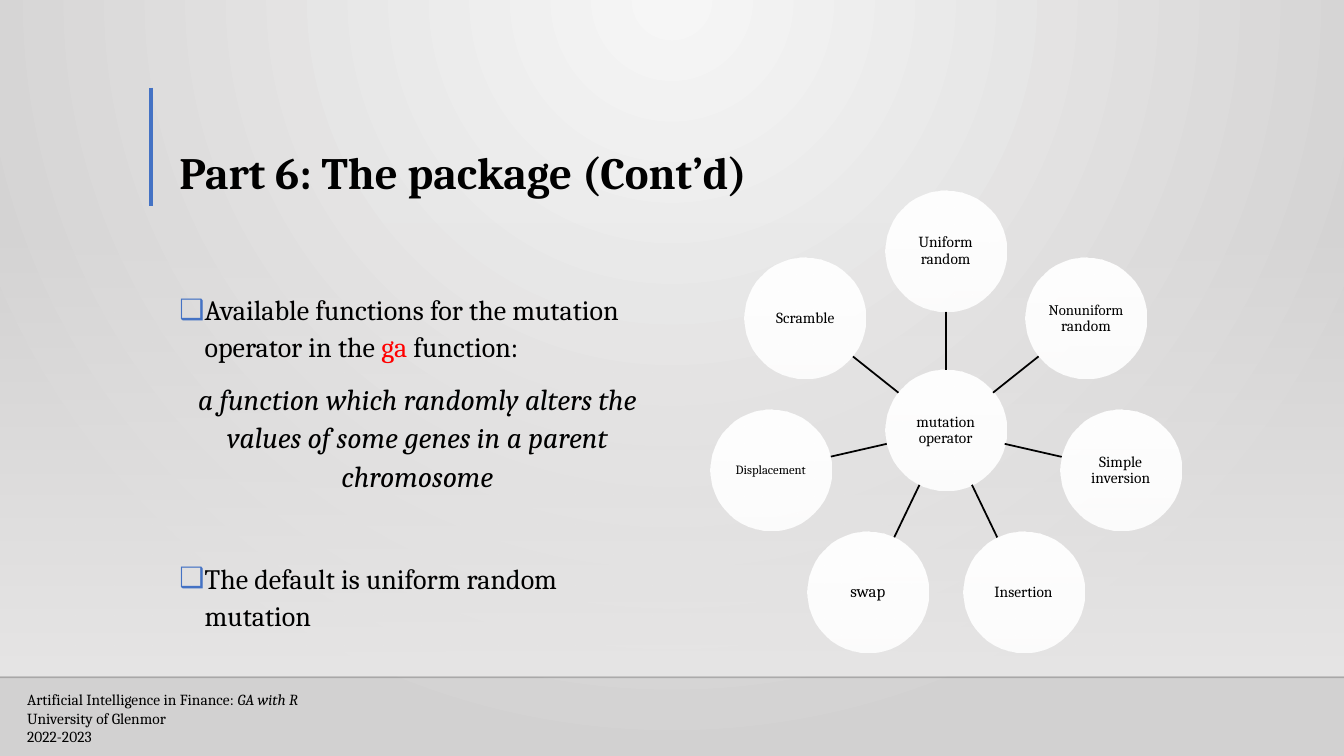
from math import cos, pi, sin

from pptx import Presentation
from pptx.dml.color import RGBColor
from pptx.enum.shapes import MSO_CONNECTOR as Connector, MSO_SHAPE as Preset
from pptx.enum.text import MSO_ANCHOR as Anchor, MSO_AUTO_SIZE as AutoSize, PP_ALIGN as Align
from pptx.oxml import parse_xml
from pptx.oxml.ns import nsdecls, qn
from pptx.util import Inches, Pt

BLACK = RGBColor(0x00, 0x00, 0x00)
RED = RGBColor(0xFF, 0x00, 0x00)
BLUE = RGBColor(0x44, 0x72, 0xC4)
WHITE = RGBColor(0xFF, 0xFF, 0xFF)
PALE = RGBColor(0xE7, 0xE6, 0xE6)
LIGHT = RGBColor(0xF6, 0xF6, 0xF6)
SHADE = RGBColor(0xD2, 0xD1, 0xD1)

DOWNWARD = '<a:lin {} ang="5400000" scaled="0"/>'
FROM_TOP = '<a:path {} path="circle"><a:fillToRect l="43000" t="0" r="43000" b="100000"/></a:path>'

HUB_X, HUB_Y, ORBIT, RADIUS = 9.38, 4.27, 1.78, 0.6
MUTATIONS = [
    [("Uniform random", 11)],
    [("Nonuniform", 10.5), (" random", 11)],
    [("Simple inversion", 11)],
    [("Insertion", 11)],
    [("swap", 12)],
    [("Displacement", 9)],
    [("Scramble", 11)],
]


def apply(target, values):
    """Set each named attribute of the target."""
    for name, value in values.items():
        setattr(target, name, value)


class SlideBuilder:
    """Holds the typeface and the current slide, and draws its elements."""

    def __init__(self, slide, typeface):
        """Keep the slide and typeface."""
        self.slide = slide
        self.typeface = typeface

    def gradient(self, owner, fill, stops, direction):
        """Fill with (colour, opacity percent) stops at even positions."""
        fill.gradient()
        grad = owner.find(".//" + qn("a:gradFill"))
        for child in list(grad):
            grad.remove(child)
        marks = "".join(
            f'<a:gs pos="{100000 * i // (len(stops) - 1)}"><a:srgbClr val="{colour}">'
            f'<a:alpha val="{opacity * 1000}"/></a:srgbClr></a:gs>'
            for i, (colour, opacity) in enumerate(stops))
        grad.append(parse_xml(f'<a:gsLst {nsdecls("a")}>{marks}</a:gsLst>'))
        grad.append(parse_xml(direction.format(nsdecls("a"))))

    def shape(self, preset, left, top, width, height, stops):
        """Add a borderless shape with a downward gradient."""
        shape = self.slide.shapes.add_shape(
            preset, Inches(left), Inches(top), Inches(width), Inches(height))
        shape.shadow.inherit = False
        shape.line.fill.background()
        self.gradient(shape.element, shape.fill, stops, DOWNWARD)
        return shape

    def line(self, start, end, colour, width, opacity=100):
        """Add a straight line between two points."""
        line = self.slide.shapes.add_connector(
            Connector.STRAIGHT, *(Inches(v) for v in (*start, *end)))
        line.line.color.rgb = colour
        line.line.width = Pt(width)
        if opacity < 100:
            line.element.find(".//" + qn("a:srgbClr")).append(
                parse_xml(f'<a:alpha {nsdecls("a")} val="{opacity * 1000}"/>'))
        line.element.spPr.append(parse_xml(f'<a:effectLst {nsdecls("a")}/>'))

    def place(self, holder, left, top, width, height):
        """Move and size a placeholder."""
        apply(holder, {"left": Inches(left), "top": Inches(top),
                       "width": Inches(width), "height": Inches(height)})

    def fill_text(self, frame, paragraphs, frame_format):
        """Put (paragraph format, runs) pairs into a text frame."""
        apply(frame, {"word_wrap": True, **frame_format})
        for i, (layout, runs) in enumerate(paragraphs):
            paragraph = frame.add_paragraph() if i else frame.paragraphs[0]
            apply(paragraph, layout)
            for text, size, *extras in runs:
                run = paragraph.add_run()
                run.text = text
                style = {"color": BLACK, **(extras[0] if extras else {})}
                run.font.color.rgb = style.pop("color")
                apply(run.font, {"name": self.typeface, "size": Pt(size), **style})

    def bullet(self, paragraph, char):
        """Give a paragraph a blue hanging bullet, or none."""
        props = paragraph._p.get_or_add_pPr()
        indent = Inches(0.25) if char else 0
        props.set("marL", str(int(indent)))
        props.set("indent", str(-int(indent)))
        marks = [f'<a:buClr {nsdecls("a")}><a:srgbClr val="{BLUE}"/></a:buClr>',
                 f'<a:buChar {nsdecls("a")} char="{char}"/>'] if char else [
                     f'<a:buNone {nsdecls("a")}/>']
        for mark in marks:
            props.append(parse_xml(mark))

    def circle(self, x, y, runs):
        """Add a labelled circle around a centre."""
        circle = self.shape(Preset.OVAL, x - RADIUS, y - RADIUS, 2 * RADIUS, 2 * RADIUS,
                            [(WHITE, 100), (WHITE, 92)])
        insets = dict.fromkeys(
            ("margin_left", "margin_top", "margin_right", "margin_bottom"), Inches(0.01))
        self.fill_text(circle.text_frame,
                       [({"alignment": Align.CENTER, "line_spacing": 0.9}, runs)],
                       {"vertical_anchor": Anchor.MIDDLE, **insets})


def main():
    """Build and save the slide."""
    deck = Presentation()
    apply(deck, {"slide_width": Inches(13.33), "slide_height": Inches(7.5)})
    slide = deck.slides.add_slide(deck.slide_layouts[1])
    builder = SlideBuilder(slide, "Cambria")
    builder.gradient(slide.element, slide.background.fill,
                     [(LIGHT, 100), (SHADE, 100)], FROM_TOP)

    title, body = slide.placeholders
    haze = builder.shape(Preset.RECTANGLE, 0, 2.2, 13.33, 4.5, [(PALE, 0), (PALE, 100)])
    title.element.addprevious(haze.element)
    builder.line((0, 6.72), (13.33, 6.72), BLACK, 1, 20)
    builder.line((1.5, 0.87), (1.5, 2.04), BLUE, 3)

    builder.place(title, 1.68, 0.88, 10.41, 1.15)
    builder.fill_text(title.text_frame,
                      [({"alignment": Align.LEFT, "line_spacing": 0.9},
                        [("Part 6: The package (Cont’d)", 32, {"bold": True})])],
                      {"vertical_anchor": Anchor.BOTTOM, "auto_size": AutoSize.NONE})

    builder.place(body, 1.68, 2.82, 4.92, 3.65)
    spacing = {"line_spacing": 1.1, "space_before": Pt(10), "space_after": Pt(0)}
    builder.fill_text(body.text_frame, [
        (spacing, [("Available functions for the mutation operator in the ", 20),
                   ("ga", 20, {"color": RED}), (" function:", 20)]),
        ({**spacing, "alignment": Align.CENTER},
         [("a function which randomly alters the values of some genes in a parent chromosome",
           21, {"italic": True})]),
        ({**spacing, "space_before": Pt(46)}, [("The default is uniform random mutation", 20)]),
    ], {"vertical_anchor": Anchor.TOP, "auto_size": AutoSize.NONE})
    for paragraph, char in zip(body.text_frame.paragraphs, ("❑", None, "❑")):
        builder.bullet(paragraph, char)

    course = slide.shapes.add_textbox(Inches(0.17), Inches(6.8), Inches(3.38), Inches(0.66))
    builder.fill_text(course.text_frame, [
        ({}, [("Artificial Intelligence in Finance: ", 11), ("GA with R", 11, {"italic": True})]),
        ({}, [("University of Glenmor", 11)]),
        ({}, [("2022-2023", 11)]),
    ], {"auto_size": AutoSize.SHAPE_TO_FIT_TEXT})

    builder.circle(HUB_X, HUB_Y, [("mutation operator", 11)])
    for i, label in enumerate(MUTATIONS):
        angle = 2 * pi * i / len(MUTATIONS)
        spoke_start, spoke_end, centre = (
            (HUB_X + reach * sin(angle), HUB_Y - reach * cos(angle))
            for reach in (RADIUS, ORBIT - RADIUS, ORBIT))
        builder.line(spoke_start, spoke_end, BLACK, 1.25)
        builder.circle(*centre, label)

    deck.save("out.pptx")


if __name__ == "__main__":
    main()
